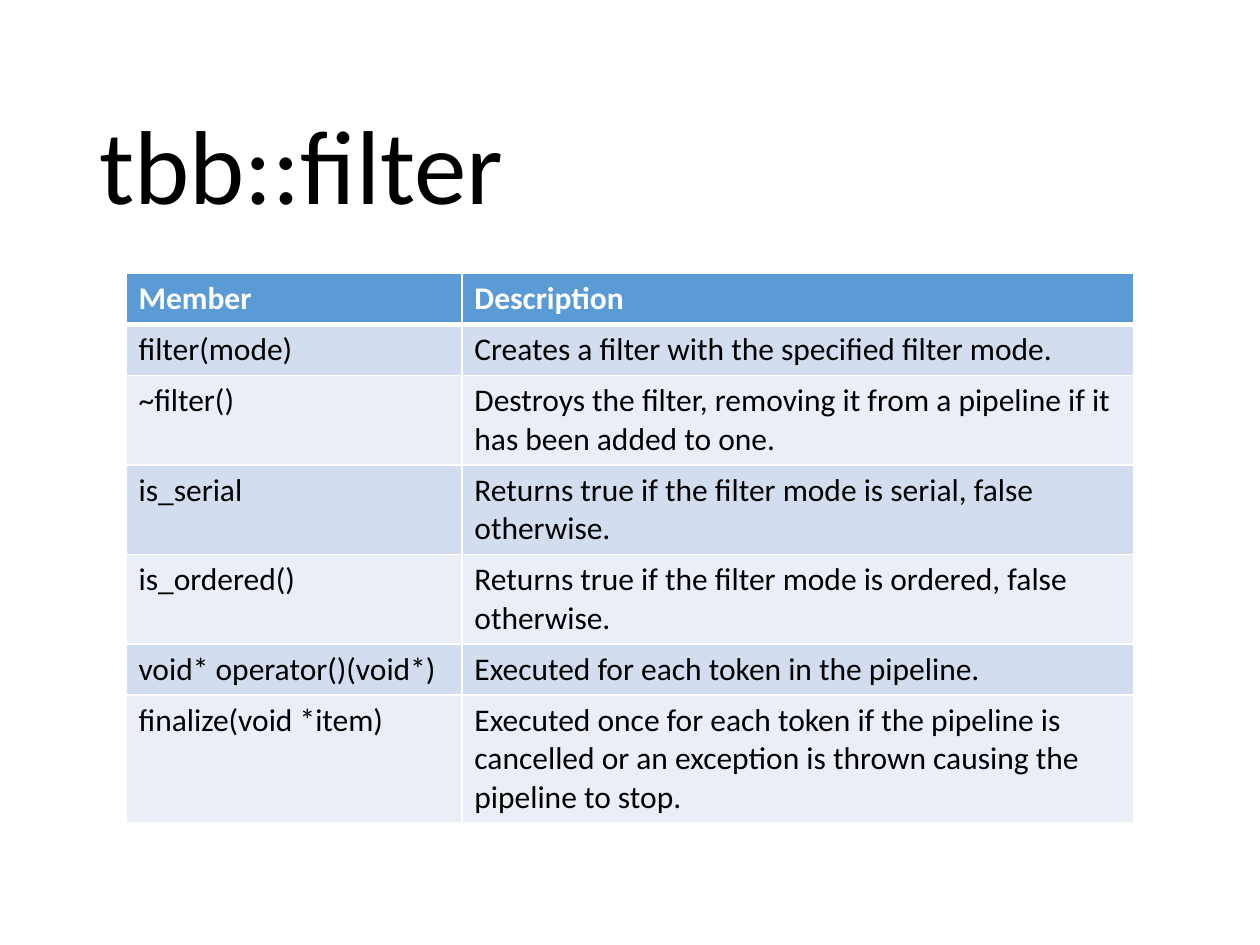
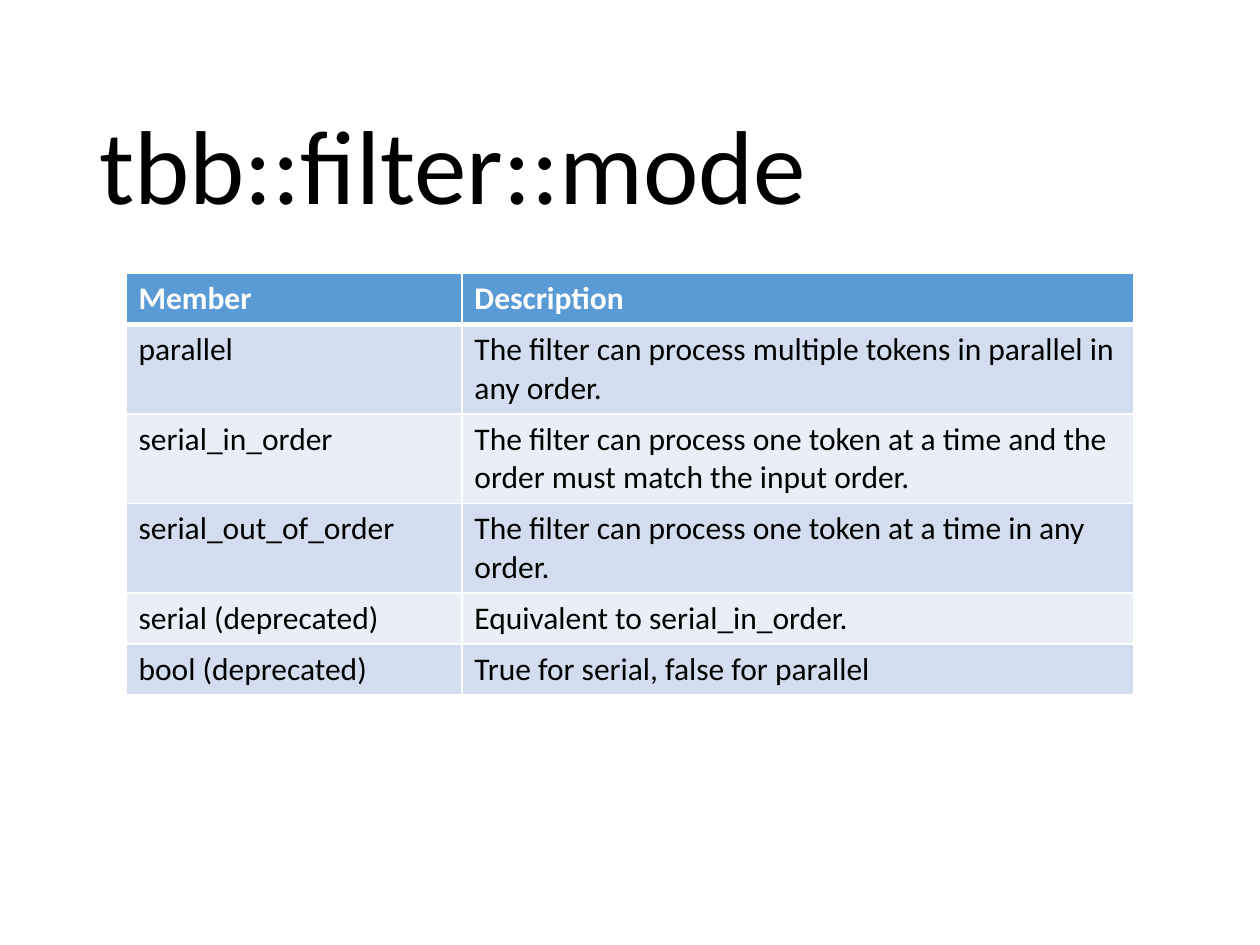
from lxml.etree import SubElement as Sub
from pptx import Presentation
from pptx.dml.color import RGBColor as RGB
from pptx.enum.text import MSO_ANCHOR as Anchor, MSO_AUTO_SIZE as Fit, PP_ALIGN as Align
from pptx.oxml.ns import qn
from pptx.util import Cm, Pt

FONT = "Calibri"
BLACK = RGB(0x00, 0x00, 0x00)
WHITE = RGB(0xFF, 0xFF, 0xFF)
BLUE = RGB(0x5B, 0x9B, 0xD5)
PALE = RGB(0xD2, 0xDE, 0xEF)
LIGHT = RGB(0xEA, 0xEF, 0xF7)

HEAD = ("Member", "Description")
WIDTHS = (Cm(6.77), Cm(13.55))
HEIGHT = Cm(1.03)

PAGES = [
    ("tbb::filter", [
        ("filter(mode)", "Creates a filter with the specified filter mode."),
        ("~filter()", "Destroys the filter, removing it from a pipeline if it has been added to one."),
        ("is_serial", "Returns true if the filter mode is serial, false otherwise."),
        ("is_ordered()", "Returns true if the filter mode is ordered, false otherwise."),
        ("void* operator()(void*)", "Executed for each token in the pipeline."),
        ("finalize(void *item)", "Executed once for each token if the pipeline is cancelled "
                                 "or an exception is thrown causing the pipeline to stop."),
    ]),
    ("tbb::filter::mode", [
        ("parallel", "The filter can process multiple tokens in parallel in any order."),
        ("serial_in_order", "The filter can process one token at a time and the order must match the input order."),
        ("serial_out_of_order", "The filter can process one token at a time in any order."),
        ("serial (deprecated)", "Equivalent to serial_in_order."),
        ("bool (deprecated)", "True for serial, false for parallel"),
    ]),
]


def write(par, text, size, color, bold=False):
    run = par.add_run()
    run.text = text
    run.font.name = FONT
    run.font.size = Pt(size)
    run.font.bold = bold
    run.font.color.rgb = color


def edge(cell, row):
    props = cell._tc.get_or_add_tcPr()
    thick = {("B", 0), ("T", 1)}
    for side in "LRTB":
        wide = 3 if (side, row) in thick else 1
        line = Sub(props, qn(f"a:ln{side}"), w=str(Pt(wide)))
        fill = Sub(line, qn("a:solidFill"))
        Sub(fill, qn("a:srgbClr"), val=str(WHITE))


deck = Presentation()
deck.slide_width = Cm(25.4)
deck.slide_height = Cm(19.05)

for name, members in PAGES:
    slide = deck.slides.add_slide(deck.slide_layouts[5])

    title = slide.shapes.title
    title.left, title.top = Cm(1.75), Cm(1.02)
    title.width, title.height = Cm(21.9), Cm(3.68)
    frame = title.text_frame
    frame.auto_size = Fit.NONE
    frame.word_wrap = True
    frame.vertical_anchor = Anchor.BOTTOM
    par = frame.paragraphs[0]
    par.alignment = Align.LEFT
    par.line_spacing = 0.9
    write(par, name, 60, BLACK)

    rows = [HEAD] + members
    table = slide.shapes.add_table(
        len(rows), len(HEAD), Cm(2.54), Cm(5.51), sum(WIDTHS), HEIGHT * len(rows)).table
    for col, width in zip(table.columns, WIDTHS):
        col.width = width
    for r, texts in enumerate(rows):
        top = r == 0
        shade = BLUE if top else PALE if r % 2 else LIGHT
        for c, text in enumerate(texts):
            cell = table.cell(r, c)
            edge(cell, r)
            cell.fill.solid()
            cell.fill.fore_color.rgb = shade
            write(cell.text_frame.paragraphs[0], text, 18, WHITE if top else BLACK, top)

deck.save("out.pptx")
